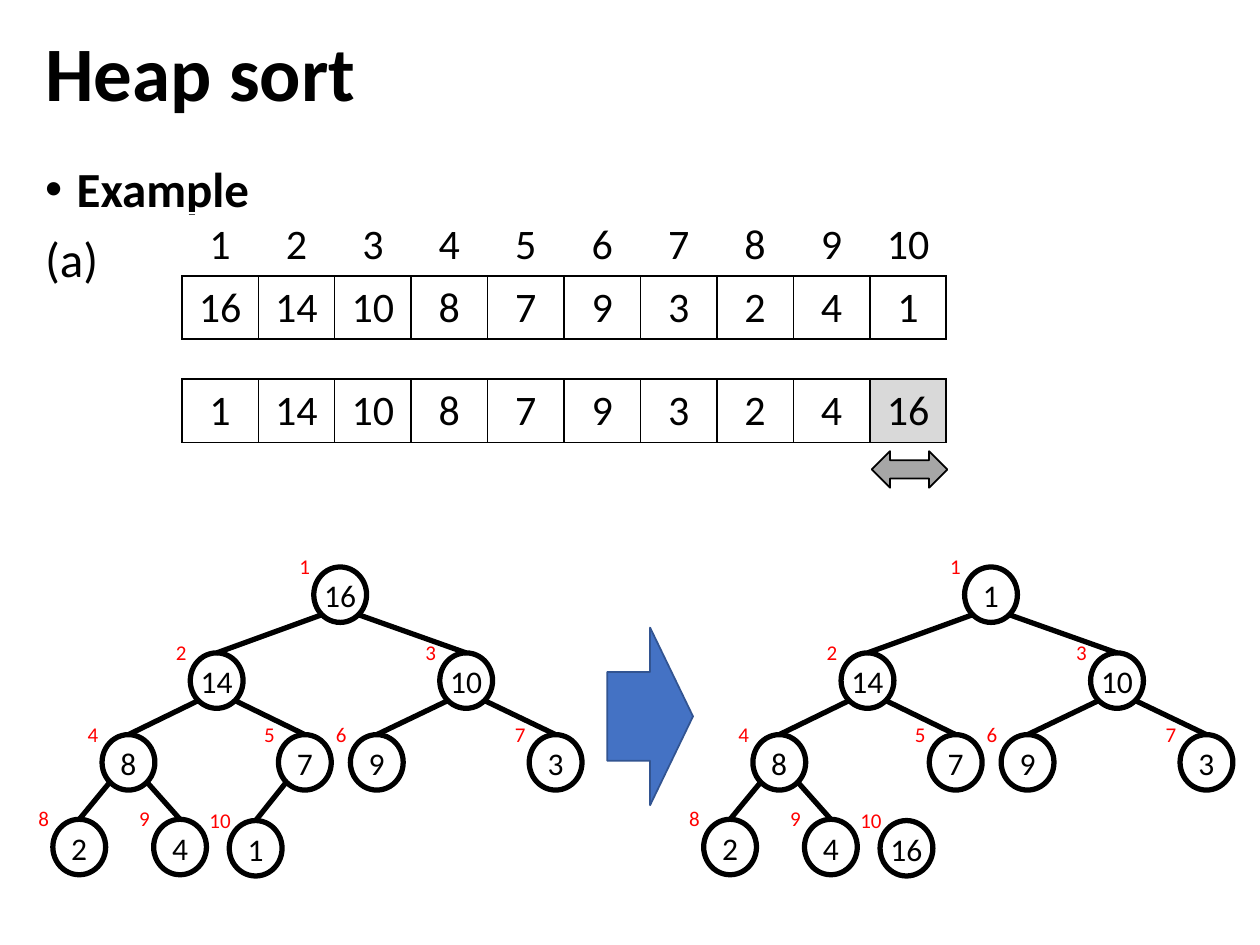
import pptx
import pptx.dml.color
import pptx.enum.shapes
import pptx.enum.text
import pptx.oxml
import pptx.oxml.ns
import pptx.util

Pt = pptx.util.Pt
RGBColor = pptx.dml.color.RGBColor
SHAPE = pptx.enum.shapes.MSO_SHAPE
ALIGN = pptx.enum.text.PP_ALIGN
ANCHOR = pptx.enum.text.MSO_ANCHOR

BLACK = RGBColor(0x00, 0x00, 0x00)
RED = RGBColor(0xFF, 0x00, 0x00)
BLUE = RGBColor(0x44, 0x72, 0xC4)
DARK_BLUE = RGBColor(0x32, 0x54, 0x91)
GRAY = RGBColor(0xA6, 0xA6, 0xA6)
LIGHT_GRAY = RGBColor(0xD9, 0xD9, 0xD9)

# Heap nodes in index order: left and top of each circle in the left tree
NODES = [(179.3, 324), (108.7, 373.1), (251.3, 373.1), (58.3, 419.8),
         (159.1, 419.8), (200.2, 419.8), (302.4, 419.8), (30.2, 468.2),
         (87.8, 468.2), (131, 468.9)]
NODE_W, NODE_H = 30.2, 31.7
TREE_SHIFT = 371.9
HEAP = [16, 14, 10, 8, 7, 9, 3, 2, 4, 1]
SWAPPED = [1] + HEAP[1:-1] + [16]

TABLE_LEFT, TABLE_W, ROW_H = 103.9, 437, 36


def write(p, text, size, color=BLACK, bold=False, align=ALIGN.CENTER, spacing=None):
    p.alignment = align
    p.line_spacing = spacing
    r = p.add_run()
    r.text = str(text)
    r.font.name = "Calibri"
    r.font.size = Pt(size)
    r.font.bold = bold
    r.font.color.rgb = color


def add_label(s, text, center, top, w, h, size, color=BLACK):
    tb = s.shapes.add_textbox(Pt(center - w / 2), Pt(top), Pt(w), Pt(h))
    tf = tb.text_frame
    tf.word_wrap = False
    tf.auto_size = pptx.enum.text.MSO_AUTO_SIZE.SHAPE_TO_FIT_TEXT
    write(tf.paragraphs[0], text, size, color)


def add_shape(s, kind, x, y, w, h, fill=None, line=BLACK, weight=1):
    sp = s.shapes.add_shape(kind, Pt(x), Pt(y), Pt(w), Pt(h))
    sp.shadow.inherit = False
    if fill is None:
        sp.fill.background()
    else:
        sp.fill.solid()
        sp.fill.fore_color.rgb = fill
    sp.line.color.rgb = line
    sp.line.width = Pt(weight)


def add_edge(s, x1, y1, x2, y2):
    c = s.shapes.add_connector(pptx.enum.shapes.MSO_CONNECTOR.STRAIGHT,
                               Pt(x1), Pt(y1), Pt(x2), Pt(y2))
    c.line.color.rgb = BLACK
    c.line.width = Pt(3)
    c._element.spPr.append(pptx.oxml.parse_xml(
        f"<a:effectLst {pptx.oxml.ns.nsdecls('a')}/>"))


def add_border(cell, sides):
    tc_pr = cell._tc.get_or_add_tcPr()
    for side in sides:
        tc_pr.append(pptx.oxml.parse_xml(
            f'<a:ln{side} {pptx.oxml.ns.nsdecls("a")} w="12700"><a:solidFill>'
            f'<a:srgbClr val="{BLACK}"/></a:solidFill></a:ln{side}>'))


def add_array(s, top, rows, header=False, shaded=None):
    """Draw rows of values; a header row has only a bottom border."""
    count = len(rows[0])
    table = s.shapes.add_table(len(rows), count, Pt(TABLE_LEFT), Pt(top),
                               Pt(TABLE_W), Pt(ROW_H * len(rows))).table
    table.first_row = table.horz_banding = False
    for column in table.columns:
        column.width = Pt(TABLE_W / count)
    for i, values in enumerate(rows):
        for j, value in enumerate(values):
            cell = table.cell(i, j)
            cell.vertical_anchor = ANCHOR.MIDDLE
            write(cell.text_frame.paragraphs[0], value, 24)
            add_border(cell, "B" if header and i == 0 else "LRTB")
            if j == shaded:
                cell.fill.solid()
                cell.fill.fore_color.rgb = LIGHT_GRAY
            else:
                cell.fill.background()


def add_tree(s, values, dx, edge_count):
    nodes = [(x + dx, y) for x, y in NODES]
    # Edges: the child at k hangs from (k - 1) // 2, left child first
    for k in range(1, edge_count + 1):
        px, py = nodes[(k - 1) // 2]
        x, y = nodes[k]
        side = -10.8 if k % 2 else 10.8
        add_edge(s, px + NODE_W / 2 + side, py + 27.4, x + NODE_W / 2, y)
    # Circles with value and red index
    for index, ((x, y), value) in enumerate(zip(nodes, values), 1):
        add_shape(s, SHAPE.OVAL, x, y, NODE_W, NODE_H, weight=3)
        add_label(s, value, x + NODE_W / 2, y + 1.8,
                  33 if value > 9 else 23.8, 29, 18)
        add_label(s, index, x - 5.2, y - 11.2,
                  26.6 if index > 9 else 20.9, 21.8, 12, RED)


def add_heading(s):
    title = s.shapes.title
    title.left, title.top, title.width, title.height = Pt(18.7), Pt(10.8), Pt(682), Pt(66.2)
    title.text_frame.vertical_anchor = ANCHOR.MIDDLE
    write(title.text_frame.paragraphs[0], "Heap sort", 44, bold=True,
          align=ALIGN.LEFT, spacing=0.9)


def add_body(s):
    tf = s.shapes.add_textbox(Pt(18.7), Pt(90.7), Pt(682), Pt(430)).text_frame
    tf.word_wrap = True
    p = tf.paragraphs[0]
    p_pr = p._p.get_or_add_pPr()
    p_pr.set("marL", str(Pt(18)))
    p_pr.set("indent", str(Pt(-18)))
    for tag in ('buFont %s typeface="Arial"', 'buChar %s char="•"'):
        p_pr.append(pptx.oxml.parse_xml(f"<a:{tag % pptx.oxml.ns.nsdecls('a')}/>"))
    write(p, "Example", 28, bold=True, align=ALIGN.LEFT, spacing=0.9)
    p = tf.add_paragraph()
    p.space_before = Pt(10)
    write(p, "(a)", 28, align=ALIGN.LEFT, spacing=0.9)


def main():
    prs = pptx.Presentation()
    prs.slide_width, prs.slide_height = Pt(720), Pt(540)
    s = prs.slides.add_slide(prs.slide_layouts[5])
    add_heading(s)
    add_body(s)
    # Array before and after the swap of first and last
    add_array(s, 121.7, [range(1, 11), HEAP], header=True)
    add_array(s, 216.7, [SWAPPED], shaded=9)
    # Heap before and after; the last node is cut off after the swap
    add_tree(s, HEAP, 0, edge_count=9)
    add_tree(s, SWAPPED, TREE_SHIFT, edge_count=8)
    # Arrows
    add_shape(s, SHAPE.RIGHT_ARROW, 347, 358.6, 49, 101.5, BLUE, DARK_BLUE)
    add_shape(s, SHAPE.LEFT_RIGHT_ARROW, 498.2, 257.8, 43.2, 20.9, GRAY)
    prs.save("out.pptx")


if __name__ == "__main__":
    main()
